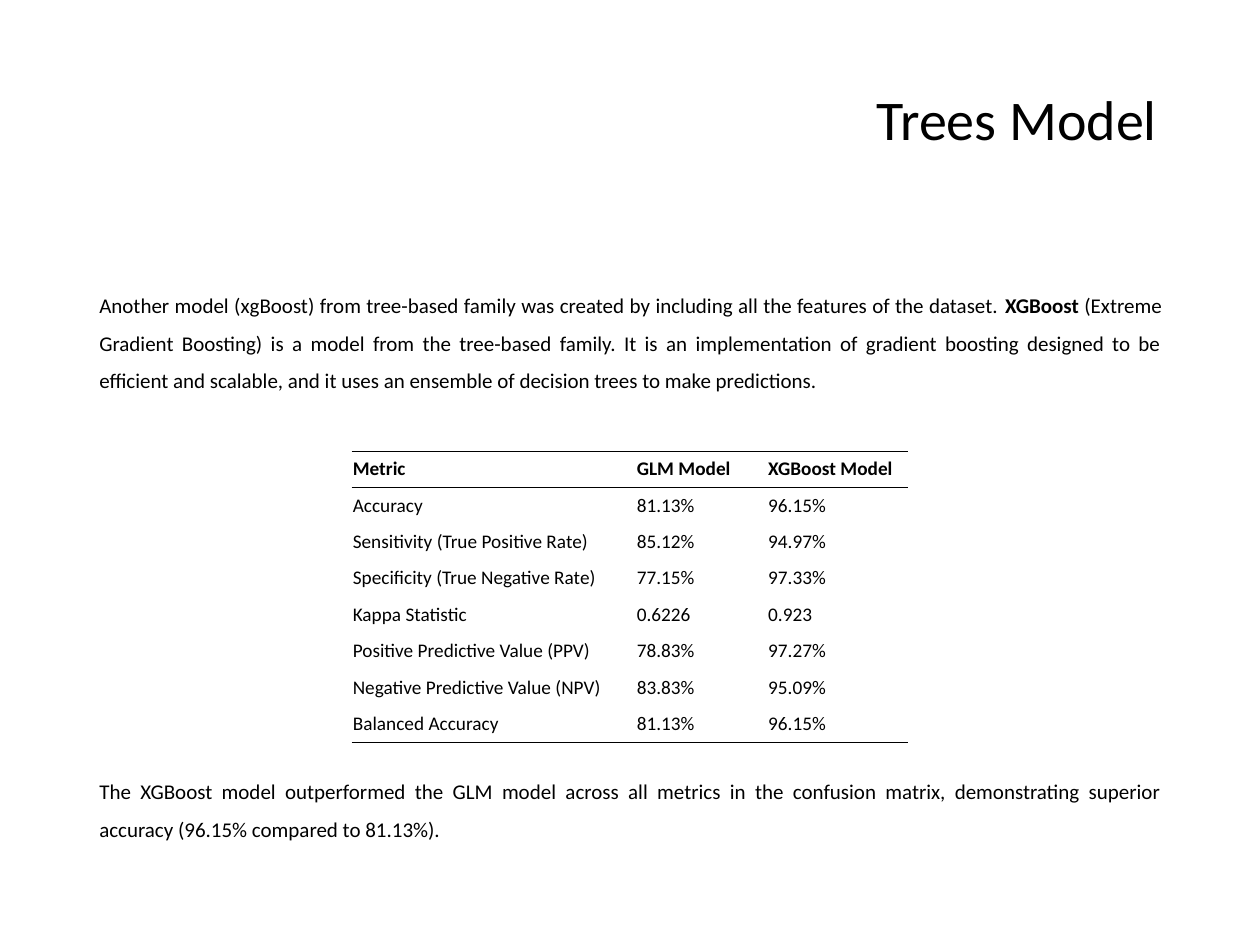
from dataclasses import dataclass

from lxml.etree import SubElement
from pptx import Presentation
from pptx.dml.color import RGBColor
from pptx.enum.text import MSO_ANCHOR as Anchor, MSO_AUTO_SIZE as AutoSize, PP_ALIGN as Align
from pptx.oxml.ns import qn
from pptx.util import Inches, Pt


@dataclass(frozen=True)
class Theme:
    font: str = "Calibri"
    ink: RGBColor = RGBColor(0, 0, 0)
    title: Pt = Pt(32)
    body: Pt = Pt(12)
    table: Pt = Pt(11)
    rule: Pt = Pt(0.45)


THEME = Theme()
TITLE = "Trees Model"
INTRO = [
    ("Another model (xgBoost) from tree-based family was created by including all the "
     "features of the dataset. ", False),
    ("XGBoost", True),
    (" (Extreme Gradient Boosting) is a model from the tree-based family. It is an "
     "implementation of gradient boosting designed to be efficient and scalable, and it "
     "uses an ensemble of decision trees to make predictions.", False),
]
CONCLUSION = [
    ("The XGBoost model outperformed the GLM model across all metrics in the confusion "
     "matrix, demonstrating superior accuracy (96.15% compared to 81.13%).", False),
]
METRICS = [
    ("Metric", "GLM Model", "XGBoost Model"),
    ("Accuracy", "81.13%", "96.15%"),
    ("Sensitivity (True Positive Rate)", "85.12%", "94.97%"),
    ("Specificity (True Negative Rate)", "77.15%", "97.33%"),
    ("Kappa Statistic", "0.6226", "0.923"),
    ("Positive Predictive Value (PPV)", "78.83%", "97.27%"),
    ("Negative Predictive Value (NPV)", "83.83%", "95.09%"),
    ("Balanced Accuracy", "81.13%", "96.15%"),
]
COLUMN_SHARES = (0.51, 0.236, 0.254)


def apply_format(target, values):
    for name, value in values.items():
        setattr(target, name, value)


def add_span(para, text, size, bold=False):
    span = para.add_run()
    span.text = text
    apply_format(span.font, {"name": THEME.font, "size": size, "bold": bold})
    span.font.color.rgb = THEME.ink


def place_title(page, box):
    title = page.shapes.title
    apply_format(title, dict(zip(("left", "top", "width", "height"), box)))
    apply_format(title.text_frame, {
        "word_wrap": True, "auto_size": AutoSize.NONE, "vertical_anchor": Anchor.MIDDLE})
    para = title.text_frame.paragraphs[0]
    apply_format(para, {"alignment": Align.CENTER, "line_spacing": 0.9})
    add_span(para, TITLE, THEME.title)


def place_paragraph(page, box, parts):
    frame = page.shapes.add_textbox(*box).text_frame
    frame.word_wrap = True
    para = frame.paragraphs[0]
    apply_format(para, {"alignment": Align.JUSTIFY, "line_spacing": 1.5})
    for text, bold in parts:
        add_span(para, text, THEME.body, bold)


def set_borders(cell, ruled_sides):
    properties = cell._tc.get_or_add_tcPr()
    for side in "LRTB":
        line = SubElement(properties, qn(f"a:ln{side}"), w=str(THEME.rule))
        if side in ruled_sides:
            fill = SubElement(line, qn("a:solidFill"))
            SubElement(fill, qn("a:srgbClr"), val=str(THEME.ink))
        else:
            SubElement(line, qn("a:noFill"))


def place_metrics(page, box):
    width, height = box[2:]
    last = len(METRICS) - 1
    table = page.shapes.add_table(len(METRICS), len(COLUMN_SHARES), *box).table
    apply_format(table, {"first_row": False, "horz_banding": False})
    for column, share in zip(table.columns, COLUMN_SHARES):
        column.width = int(width * share)
    ruled_sides = {0: "TB", 1: "T", last: "B"}
    for index, values in enumerate(METRICS):
        table.rows[index].height = height // len(METRICS)
        for cell, text in zip(table.rows[index].cells, values):
            apply_format(cell, {
                "margin_left": Inches(0.01), "margin_right": Inches(0.01),
                "margin_top": Inches(0.05), "margin_bottom": Inches(0.05),
                "vertical_anchor": Anchor.BOTTOM})
            set_borders(cell, ruled_sides.get(index, ""))
            cell.fill.background()
            add_span(cell.text_frame.paragraphs[0], text, THEME.table, index == 0)


def main():
    deck = Presentation()
    apply_format(deck, {"slide_width": Inches(10), "slide_height": Inches(7.5)})
    page = deck.slides.add_slide(deck.slide_layouts[5])
    left, width = Inches(0.69), Inches(8.63)
    place_title(page, (Inches(6.83), Inches(0.5), Inches(2.48), Inches(0.94)))
    place_paragraph(page, (left, Inches(2.17), width, Inches(1.08)), INTRO)
    place_metrics(page, (Inches(2.79), Inches(3.58), Inches(4.42), Inches(2.31)))
    place_paragraph(page, (left, Inches(6.03), width, Inches(0.72)), CONCLUSION)
    deck.save("out.pptx")


if __name__ == "__main__":
    main()
